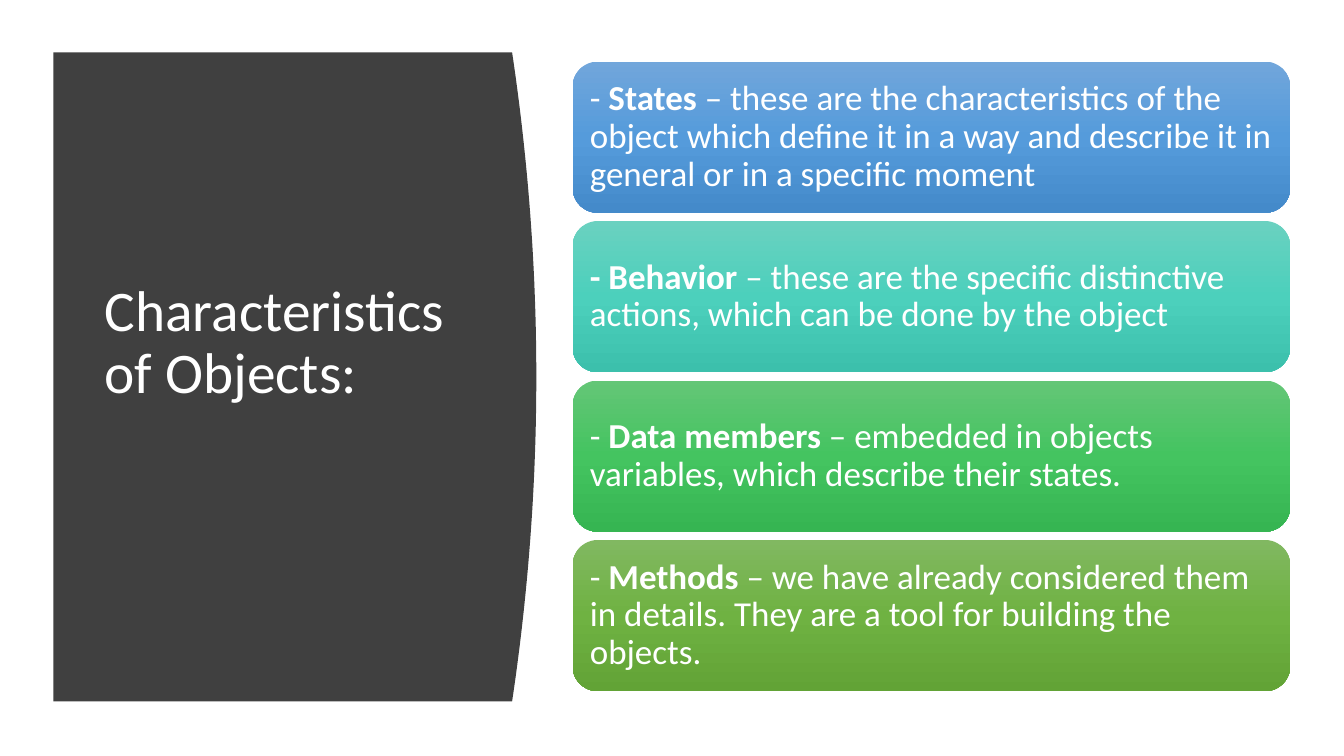
from copy import deepcopy

from pptx import Presentation
from pptx.dml.color import RGBColor
from pptx.enum import shapes, text
from pptx.util import Pt

WHITE = RGBColor(0xFF, 0xFF, 0xFF)
CHARCOAL = RGBColor(0x40, 0x40, 0x40)
BLUES = [RGBColor(0x71, 0xA6, 0xDB), RGBColor(0x55, 0x9B, 0xDB), RGBColor(0x44, 0x8A, 0xCA)]
TEALS = [RGBColor(0x6A, 0xD1, 0xC0), RGBColor(0x4C, 0xD0, 0xBC), RGBColor(0x3C, 0xC0, 0xAC)]
GREENS = [RGBColor(0x64, 0xC6, 0x77), RGBColor(0x44, 0xC4, 0x60), RGBColor(0x36, 0xB5, 0x52)]
OLIVES = [RGBColor(0x81, 0xB8, 0x61), RGBColor(0x6F, 0xB2, 0x42), RGBColor(0x62, 0xA3, 0x36)]

# Each run is (wording, bold).
CARDS = [
    (BLUES, [("- ", False), ("States ", True),
             ("– these are the characteristics of the object which define it "
              "in a way and describe it in general or in a specific moment", False)]),
    (TEALS, [("- Behavior ", True),
             ("– these are the specific distinctive actions, which can be done "
              "by the object", False)]),
    (GREENS, [("- ", False), ("Data members ", True),
              ("– embedded in objects variables, which describe their states.", False)]),
    (OLIVES, [("- ", False), ("Methods ", True),
              ("– we have already considered them in details. They are a tool "
               "for building the objects.", False)]),
]
CARD_LEFT, CARD_TOP, CARD_WIDTH, CARD_HEIGHT = 409, 44, 512.6, 108
CARD_PITCH = 113.9

PANEL_LEFT, PANEL_TOP, PANEL_RIGHT, PANEL_BOTTOM = 38.2, 37.4, 365.8, 501.1
PANEL_BULGE = 17.3
CURVE_STEPS = 48


def write_text(shape, runs, *, size, insets, color=WHITE, font="Calibri"):
    """Fill a shape with one paragraph; insets are left, top, right, bottom."""
    frame = shape.text_frame
    frame.word_wrap = True
    frame.vertical_anchor = text.MSO_ANCHOR.MIDDLE
    (frame.margin_left, frame.margin_top,
     frame.margin_right, frame.margin_bottom) = map(Pt, insets)
    paragraph = frame.paragraphs[0]
    paragraph.alignment = text.PP_ALIGN.LEFT
    paragraph.line_spacing = 0.9
    for wording, bold in runs:
        run = paragraph.add_run()
        run.text = wording
        run.font.name = font
        run.font.size = Pt(size)
        run.font.bold = bold
        run.font.color.rgb = color


def fill_gradient(shape, colors):
    """Blend evenly spaced colours from top to bottom."""
    fill = shape.fill
    fill.gradient()
    fill.gradient_angle = 270
    first_stop = shape._element.spPr.xpath("./a:gradFill/a:gsLst/a:gs")[0]
    for _ in range(len(colors) - 2):
        first_stop.addnext(deepcopy(first_stop))
    for index, (stop, color) in enumerate(zip(fill.gradient_stops, colors)):
        stop.position = index / (len(colors) - 1)
        stop.color.rgb = color


def add_curved_panel(slide):
    """Draw the dark panel whose right side bulges as a parabola."""
    height = PANEL_BOTTOM - PANEL_TOP
    curve = []
    for step in range(CURVE_STEPS + 1):
        share = step / CURVE_STEPS
        bulge = PANEL_BULGE * 4 * share * (1 - share)
        curve.append((Pt(PANEL_RIGHT + bulge), Pt(PANEL_TOP + height * share)))
    builder = slide.shapes.build_freeform(Pt(PANEL_LEFT), Pt(PANEL_TOP))
    builder.add_line_segments(curve + [(Pt(PANEL_LEFT), Pt(PANEL_BOTTOM))])
    panel = builder.convert_to_shape()
    panel.shadow.inherit = False
    panel.fill.solid()
    panel.fill.fore_color.rgb = CHARCOAL
    panel.line.fill.background()


def add_title(slide):
    title = slide.shapes.add_textbox(Pt(67.7), Pt(79.9), Pt(269.3), Pt(377.3))
    # The deep bottom inset lifts the title half a line above the middle.
    write_text(title, [("Characteristics of Objects:", False)],
               size=41, insets=(7.2, 3.6, 7.2, 48.6))


def add_card(slide, top, colors, runs):
    card = slide.shapes.add_shape(
        shapes.MSO_SHAPE.ROUNDED_RECTANGLE,
        Pt(CARD_LEFT), Pt(top), Pt(CARD_WIDTH), Pt(CARD_HEIGHT))
    card.shadow.inherit = False
    card.line.fill.background()
    fill_gradient(card, colors)
    write_text(card, runs, size=25, insets=(7.2,) * 4)


def main():
    presentation = Presentation()
    presentation.slide_width = Pt(960)
    presentation.slide_height = Pt(540)
    slide = presentation.slides.add_slide(presentation.slide_layouts[6])
    add_curved_panel(slide)
    add_title(slide)
    for index, (colors, runs) in enumerate(CARDS):
        add_card(slide, CARD_TOP + index * CARD_PITCH, colors, runs)
    presentation.save("out.pptx")


if __name__ == "__main__":
    main()
